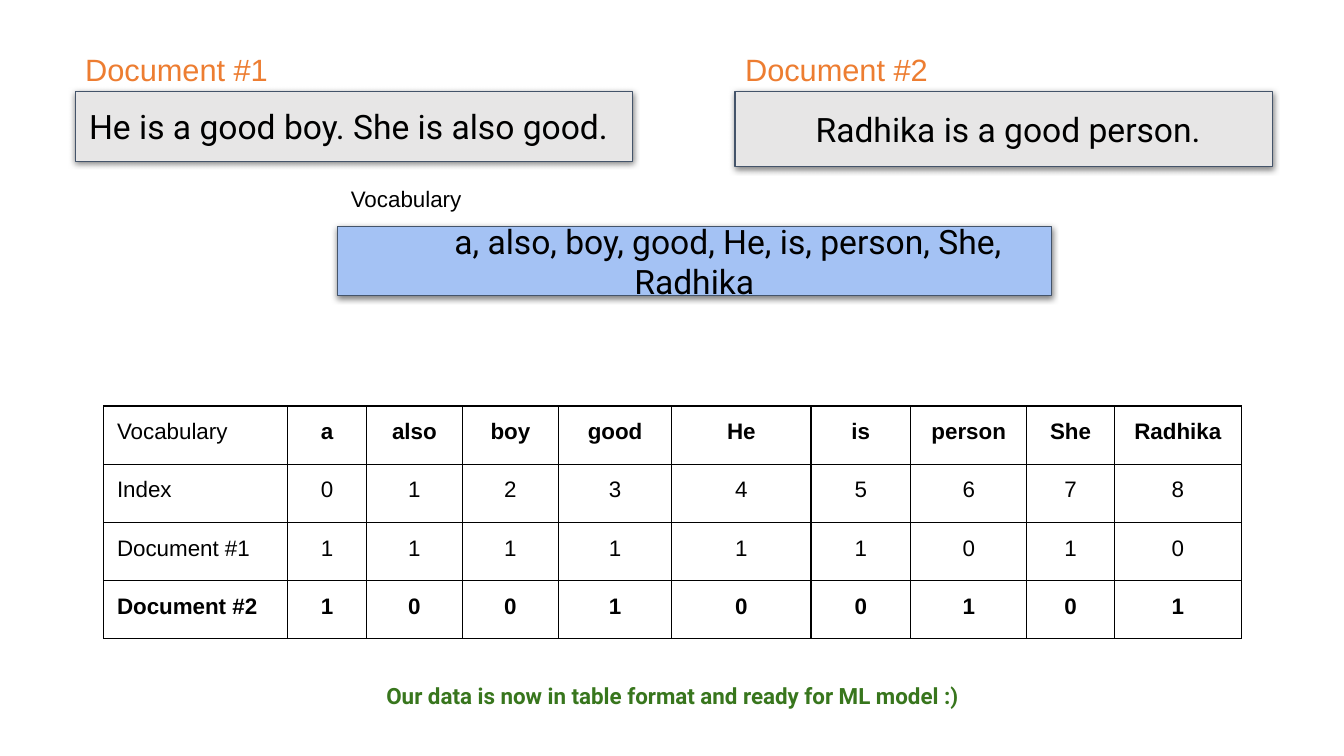
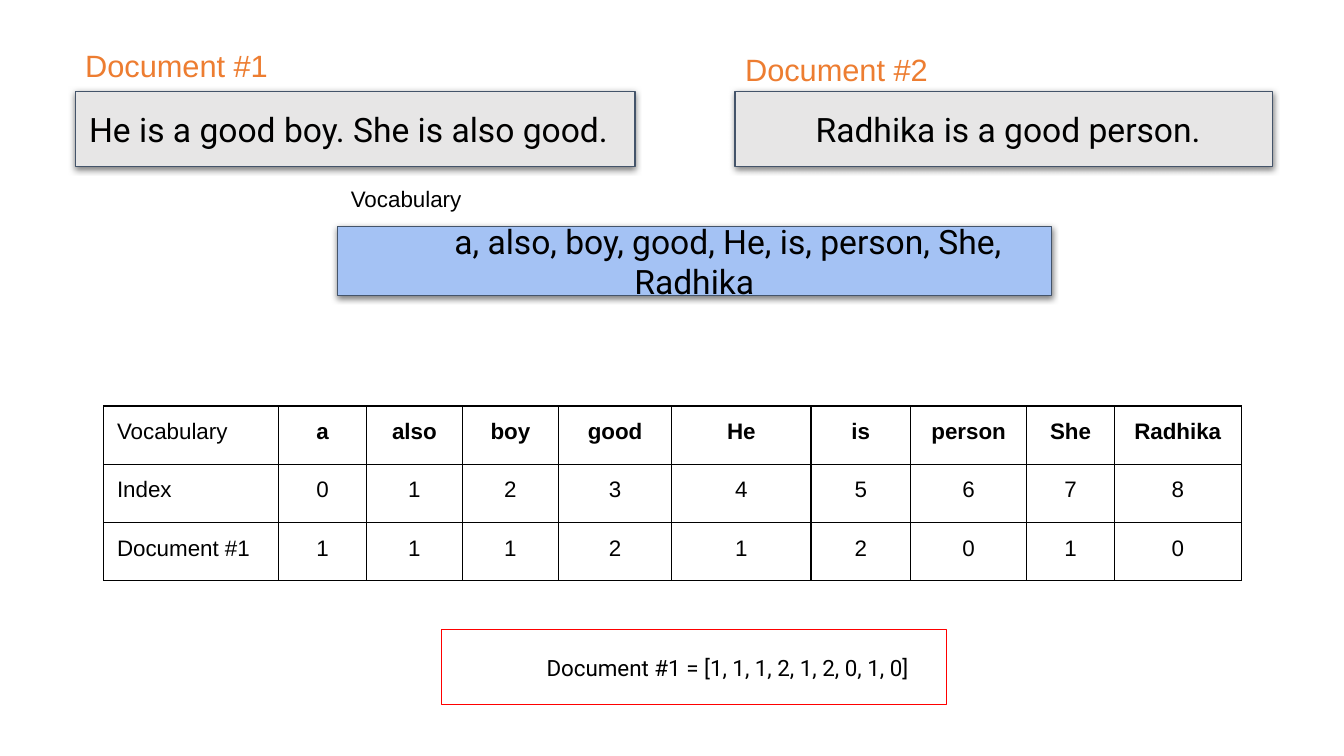
from lxml.etree import SubElement
from pptx import Presentation
from pptx.dml.color import RGBColor
from pptx.enum.shapes import MSO_SHAPE
from pptx.enum.text import MSO_ANCHOR, PP_ALIGN
from pptx.oxml import parse_xml
from pptx.oxml.ns import nsdecls, qn
from pptx.util import Pt

# Shared look
BLACK = RGBColor(0x00, 0x00, 0x00)
GREY = RGBColor(0xE7, 0xE6, 0xE6)
SLATE = RGBColor(0x44, 0x54, 0x6A)
ORANGE = RGBColor(0xED, 0x7D, 0x31)
BLUE = RGBColor(0xA4, 0xC2, 0xF4)
GREEN = RGBColor(0x38, 0x76, 0x1D)
RED = RGBColor(0xFF, 0x00, 0x00)
INSET = Pt(9.6)
INDENT = 48

# Shared content and table grid
VOCABULARY = ["a", "also", "boy", "good", "He", "is", "person", "She", "Radhika"]
LABEL_AND_FIRST_WIDTH = 187.7
OTHER_WIDTHS = [68.6, 68.6, 81, 99.4, 71.2, 83, 62.5, 90.8]
ROW_HEIGHT = 41.6


def write(frame, text, size=16, font="Arial", color=BLACK, bold=False,
          align=PP_ALIGN.LEFT, indent=0):
    """Fill the first paragraph of a text frame with formatted text."""
    paragraph = frame.paragraphs[0]
    paragraph.alignment = align
    if indent:
        properties = paragraph._p.get_or_add_pPr()
        properties.set("marL", "0")
        properties.set("indent", str(Pt(indent)))
    run = paragraph.add_run()
    run.text = text
    run.font.size = Pt(size)
    run.font.name = font
    run.font.bold = bold
    run.font.color.rgb = color


def set_insets(target):
    target.margin_left = target.margin_right = INSET
    target.margin_top = target.margin_bottom = INSET


def add_drop_shadow(shape):
    shape._element.spPr.append(parse_xml(
        f'<a:effectLst {nsdecls("a")}>'
        f'<a:outerShdw blurRad="{Pt(4.5)}" dist="{Pt(1.5)}" dir="5400000" algn="t" rotWithShape="0">'
        '<a:srgbClr val="000000"><a:alpha val="50000"/></a:srgbClr>'
        '</a:outerShdw></a:effectLst>'))


def add_label(slide, box, text, anchor=MSO_ANCHOR.TOP, **text_format):
    label = slide.shapes.add_textbox(*map(Pt, box))
    frame = label.text_frame
    frame.word_wrap = True
    frame.vertical_anchor = anchor
    set_insets(frame)
    write(frame, text, **text_format)


def add_box(slide, box, text, fill=None, line=SLATE, **text_format):
    """Add a bordered box; filled boxes also cast a shadow."""
    shape = slide.shapes.add_shape(MSO_SHAPE.RECTANGLE, *map(Pt, box))
    shape.line.color.rgb = line
    shape.line.width = Pt(0.75)
    if fill is None:
        shape.fill.background()
        shape.shadow.inherit = False
    else:
        shape.fill.solid()
        shape.fill.fore_color.rgb = fill
        add_drop_shadow(shape)
    frame = shape.text_frame
    frame.word_wrap = True
    frame.vertical_anchor = MSO_ANCHOR.MIDDLE
    set_insets(frame)
    write(frame, text, font="Roboto", **text_format)


def set_borders(cell):
    properties = cell._tc.get_or_add_tcPr()
    for side in ("lnL", "lnR", "lnT", "lnB"):
        border = SubElement(properties, qn(f"a:{side}"), w=str(Pt(1)))
        fill = SubElement(border, qn("a:solidFill"))
        SubElement(fill, qn("a:srgbClr"), val=str(BLACK))


def add_count_table(slide, label_width, document_rows, bold_labels=()):
    """Tabulate the vocabulary, its indices and the values for each document."""
    rows = [["Vocabulary", *VOCABULARY], ["Index", *range(len(VOCABULARY))], *document_rows]
    widths = [label_width, LABEL_AND_FIRST_WIDTH - label_width, *OTHER_WIDTHS]
    table = slide.shapes.add_table(
        len(rows), len(widths), Pt(74), Pt(290),
        Pt(sum(widths)), Pt(ROW_HEIGHT * len(rows))).table
    table.first_row = table.horz_banding = False
    for column, width in zip(table.columns, widths):
        column.width = Pt(width)
    for row_number, values in enumerate(rows):
        table.rows[row_number].height = Pt(ROW_HEIGHT)
        for column_number, value in enumerate(values):
            cell = table.cell(row_number, column_number)
            set_insets(cell)
            set_borders(cell)
            cell.fill.background()
            is_label = column_number == 0
            write(cell.text_frame, str(value),
                  bold=values[0] in bold_labels or (row_number == 0 and not is_label),
                  align=PP_ALIGN.LEFT if is_label else PP_ALIGN.CENTER)


def add_example_slide(presentation, label_top, first_width, first_height):
    """Start a slide with the two documents and their vocabulary."""
    slide = presentation.slides.add_slide(presentation.slide_layouts[6])
    add_box(slide, (54, 65.5, first_width, first_height),
            "He is a good boy. She is also good.", fill=GREY, size=24)
    add_box(slide, (525, 65.5, 384, 53.3),
            "Radhika is a good person.", fill=GREY, size=24, indent=INDENT)
    add_label(slide, (51.2, label_top, 384, 39.6), "Document #1", size=22, color=ORANGE)
    add_label(slide, (522.6, 26.6, 384, 39.6), "Document #2", size=22, color=ORANGE)
    add_box(slide, (241, 161.5, 510, 49.6), ", ".join(VOCABULARY),
            fill=BLUE, size=24, align=PP_ALIGN.CENTER, indent=INDENT)
    add_label(slide, (241, 122.4, 478, 39.6), "Vocabulary")
    return slide


def main():
    presentation = Presentation()
    presentation.slide_width = Pt(960)
    presentation.slide_height = Pt(540)

    # Word presence in both documents
    slide = add_example_slide(presentation, 26.6, 398, 49.6)
    add_count_table(slide, 131.5, [
        ["Document #1", 1, 1, 1, 1, 1, 1, 0, 1, 0],
        ["Document #2", 1, 0, 0, 1, 0, 0, 1, 0, 1],
    ], bold_labels=("Document #2",))
    add_label(slide, (99.4, 474.5, 762, 44.6),
              "Our data is now in table format and ready for ML model :)",
              anchor=MSO_ANCHOR.MIDDLE, font="Roboto", color=GREEN, bold=True,
              align=PP_ALIGN.CENTER)

    # Word counts of the first document
    counts = [1, 1, 1, 2, 1, 2, 0, 1, 0]
    slide = add_example_slide(presentation, 24, 399.6, 53.3)
    add_count_table(slide, 125.2, [["Document #1", *counts]])
    add_box(slide, (315.2, 450, 361, 53.3), f"Document #1 = {counts}",
            line=RED, align=PP_ALIGN.CENTER, indent=INDENT)

    presentation.save("out.pptx")


if __name__ == "__main__":
    main()
